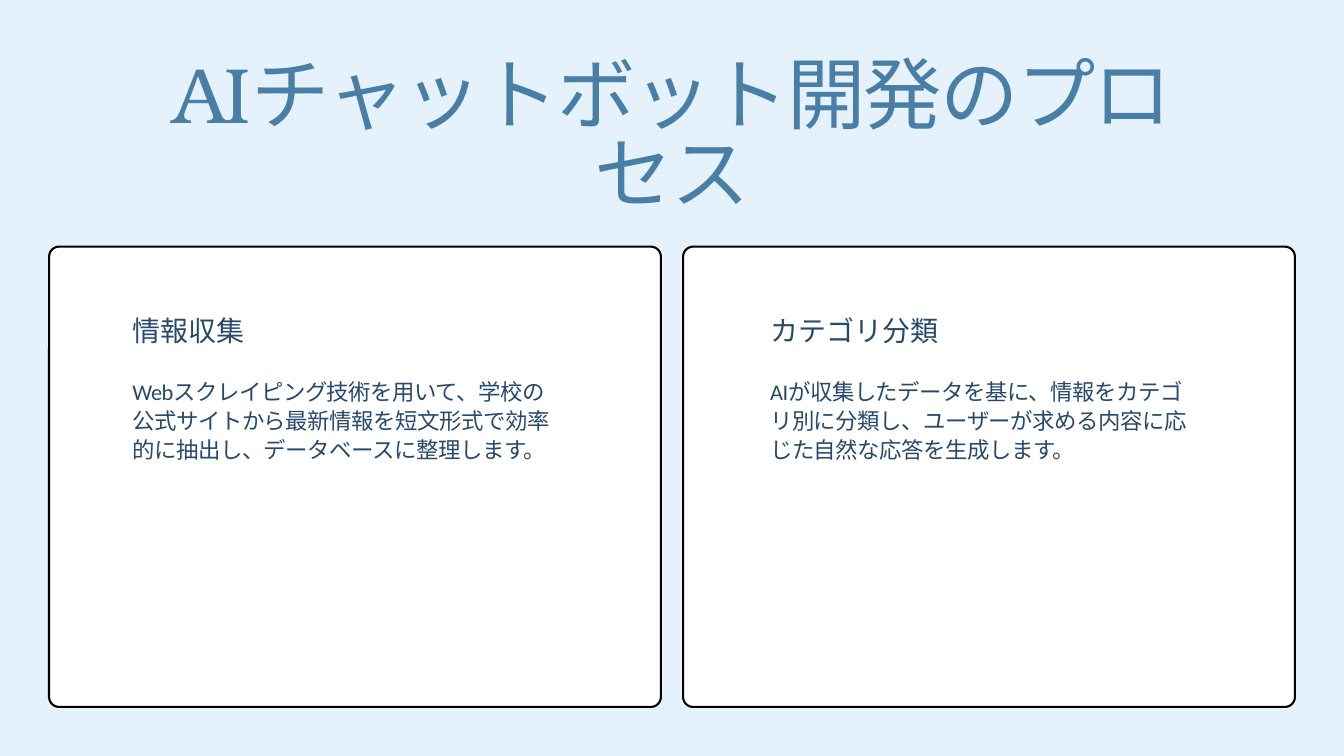
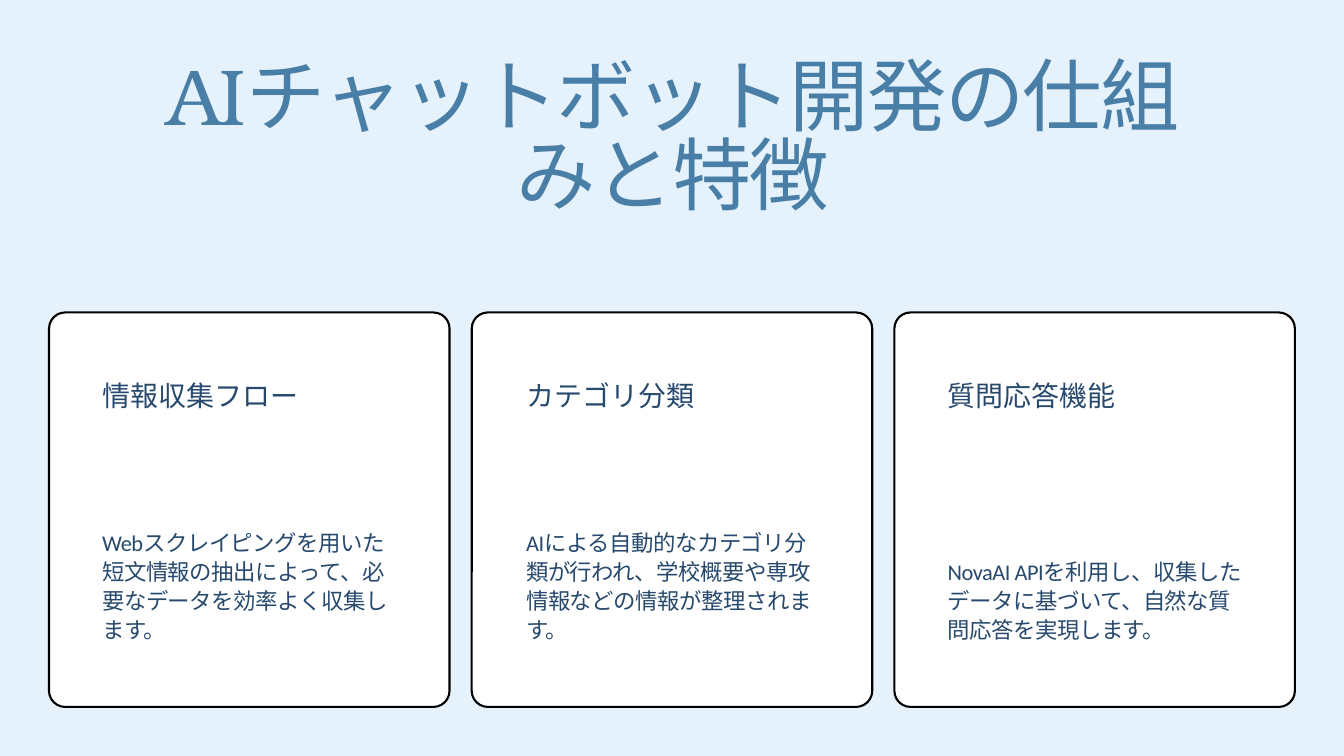
from pptx import Presentation
from pptx import util as u
from pptx.dml.color import RGBColor
from pptx.enum import shapes, text

SKY = RGBColor(0xE5, 0xF1, 0xFB)
STEEL = RGBColor(0x49, 0x7E, 0xA6)
NAVY = RGBColor(0x27, 0x49, 0x6D)
WHITE = RGBColor(0xFF, 0xFF, 0xFF)
BLACK = RGBColor(0, 0, 0)
SERIF, SANS = "TeX Gyre Bonum", "Calibri"

WIDTH, HEIGHT = 20, 11.25
MARGIN, GAP, CARD_BOTTOM = 0.73, 0.33, 10.52
HEADING_HEIGHT, BODY_LINE = 0.52, 0.43


def add_slide(prs):
    slide = prs.slides.add_slide(prs.slide_layouts[6])
    fill = slide.background.fill
    fill.solid()
    fill.fore_color.rgb = SKY
    return slide


def add_text(slide, wording, box, font, size, leading, color, tracking=0, align=None):
    frame = slide.shapes.add_textbox(*map(u.Inches, box)).text_frame
    frame.margin_left = frame.margin_right = frame.margin_top = frame.margin_bottom = 0
    frame.word_wrap = True
    frame.auto_size = text.MSO_AUTO_SIZE.SHAPE_TO_FIT_TEXT
    frame.text = wording
    paragraph = frame.paragraphs[0]
    paragraph.line_spacing = u.Pt(leading)
    paragraph.alignment = align
    run = paragraph.runs[0]
    run.font.name = font
    run.font.size = u.Pt(size)
    run.font.color.rgb = color
    if tracking:
        run.font._element.set("spc", str(tracking))


def add_title(slide, wording, box, size):
    add_text(slide, wording, box, SERIF, size, size, STEEL, -170, text.PP_ALIGN.CENTER)


def add_cards(slide, count, top, radius):
    width = (WIDTH - 2 * MARGIN - GAP * (count - 1)) / count
    height = CARD_BOTTOM - top
    for column in range(count):
        left = MARGIN + column * (width + GAP)
        card = slide.shapes.add_shape(
            shapes.MSO_SHAPE.ROUNDED_RECTANGLE,
            *map(u.Inches, (left, top, width, height)))
        card.adjustments[0] = radius / min(width, height)
        card.shadow.inherit = False
        card.fill.solid()
        card.fill.fore_color.rgb = WHITE
        card.line.color.rgb = BLACK
        card.line.width = u.Pt(2.25)


def add_topic(slide, heading, body, left, width, heading_top, body_top, lines):
    add_text(slide, heading, (left, heading_top, width, HEADING_HEIGHT),
             SERIF, 30, 39, NAVY)
    add_text(slide, body, (left, body_top, width, lines * BODY_LINE),
             SANS, 24, 31.2, NAVY, -50)


def build_process(prs):
    slide = add_slide(prs)
    add_cards(slide, 2, 3.67, 0.15)
    add_title(slide, "AIチャットボット開発のプロセス", (2.3, 0.91, 15.4, 2.37), 83.9)
    steps = [
        ("情報収集",
         "Webスクレイピング技術を用いて、学校の公式サイトから最新情報を短文形式で効率的に抽出し、データベースに整理します。",
         1.97, 6.29),
        ("カテゴリ分類",
         "AIが収集したデータを基に、情報をカテゴリ別に分類し、ユーザーが求める内容に応じた自然な応答を生成します。",
         11.46, 6.22),
    ]
    for heading, body, left, width in steps:
        add_topic(slide, heading, body, left, width, 4.62, 5.59, 3)


def build_features(prs):
    slide = add_slide(prs)
    add_title(slide, "AIチャットボット開発の仕組みと特徴", (2.33, 0.92, 15.37, 2.4), 85)
    add_cards(slide, 3, 4.65, 0.24)
    body_bottom = 9.56
    features = [
        ("情報収集フロー",
         "Webスクレイピングを用いた短文情報の抽出によって、必要なデータを効率よく収集します。",
         1.52, 4.39, 4),
        ("カテゴリ分類",
         "AIによる自動的なカテゴリ分類が行われ、学校概要や専攻情報などの情報が整理されます。",
         7.83, 4.34, 4),
        ("質問応答機能",
         "NovaAI APIを利用し、収集したデータに基づいて、自然な質問応答を実現します。",
         14.1, 4.39, 3),
    ]
    for heading, body, left, width, lines in features:
        body_top = body_bottom - lines * BODY_LINE
        add_topic(slide, heading, body, left, width, 5.59, body_top, lines)


def main():
    prs = Presentation()
    prs.slide_width = u.Inches(WIDTH)
    prs.slide_height = u.Inches(HEIGHT)
    build_process(prs)
    build_features(prs)
    prs.save("out.pptx")


if __name__ == "__main__":
    main()
